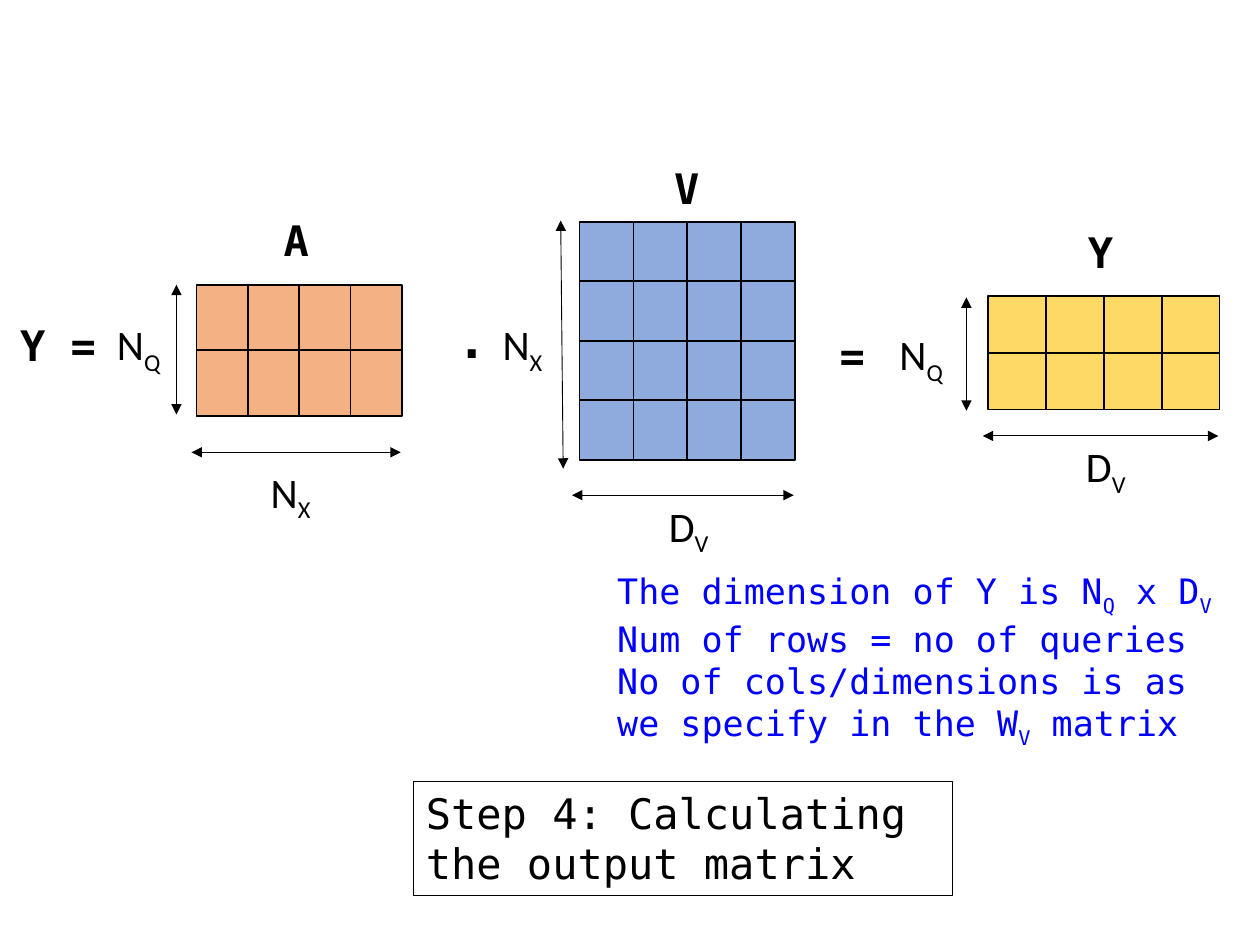
import pptx
import pptx.util
import pptx.dml.color
import pptx.enum.shapes
import pptx.enum.text
import pptx.oxml.ns
import lxml.etree

MONO, SANS = "DejaVu Sans Mono", "Calibri"
CENTER, LEFT = pptx.enum.text.PP_ALIGN.CENTER, pptx.enum.text.PP_ALIGN.LEFT
color = pptx.dml.color.RGBColor.from_string

deck = pptx.Presentation()
deck.slide_width, deck.slide_height = pptx.util.Inches(10), pptx.util.Inches(7.5)
slide = deck.slides.add_slide(deck.slide_layouts[5])
column, row = deck.slide_width / 100, deck.slide_height / 75


def grid(*places):
    return [round(place * (row if i % 2 else column)) for i, place in enumerate(places)]


def write(frame, lines, align, ink, **style):
    settings = {"word_wrap": True, "auto_size": pptx.enum.text.MSO_AUTO_SIZE.NONE,
                "vertical_anchor": pptx.enum.text.MSO_ANCHOR.TOP}
    for key, value in settings.items():
        setattr(frame, key, value)
    for number, line in enumerate(lines):
        paragraph = frame.add_paragraph() if number else frame.paragraphs[0]
        paragraph.alignment = align
        first, *rest = line.split("_")
        pieces = [(first, False)]
        for part in rest:
            pieces += [(part[0], True), (part[1:], False)]
        for words, lowered in pieces:
            if not words:
                continue
            run = paragraph.add_run()
            run.text = words
            for key, value in style.items():
                setattr(run.font, key, value)
            run.font.color.rgb = color(ink)
            if lowered:
                run.font._element.set("baseline", "-25000")


heading = slide.shapes.title
heading.left, heading.top, heading.width, heading.height = grid(32.8, 62, 42.8, 9.1)
heading.line.color.rgb = color("000000")
heading.line.width = pptx.util.Pt(0.75)
write(heading.text_frame, ["Step 4: Calculating the output matrix"], LEFT, "000000",
      name=MONO, size=pptx.util.Pt(24), bold=False)

matrices = [
    {"fill": "F4B183", "rows": 2, "area": (15.6, 22.6, 16.3, 10.4),
     "name": ("A", 16.4, 16.5, 14.2), "height": ("N_Q", 8.3, 24.8, 7.3),
     "width": ("N_X", 20.5, 36.5, 7.3),
     "arrows": [(14, 22.6, 14, 32.9), (15.2, 35.9, 31.8, 35.9)]},
    {"fill": "8FAADC", "rows": 4, "area": (46, 17.6, 17.1, 18.9),
     "name": ("V", 46.9, 12.4, 15.2), "height": ("N_X", 38.9, 24.8, 7.8),
     "width": ("D_V", 52.1, 39.2, 6.5),
     "arrows": [(44.5, 17.5, 44.7, 37.2), (45.4, 39.3, 63, 39.3)]},
    {"fill": "FFD966", "rows": 2, "area": (78.4, 23.5, 18.4, 9),
     "name": ("Y", 79.3, 17.5, 16.1), "height": ("N_Q", 70.4, 25.6, 8.3),
     "width": ("D_V", 85.2, 34.5, 6.9),
     "arrows": [(76.7, 23.6, 76.7, 32.6), (78, 34.6, 96.7, 34.6)]},
]

for matrix in matrices:
    group = slide.shapes.add_group_shape().shapes
    left, top, width, height = matrix["area"]
    cell_width, cell_height = width / 4, height / matrix["rows"]
    for index in range(4 * matrix["rows"]):
        down, across = divmod(index, 4)
        cell = group.add_shape(
            pptx.enum.shapes.MSO_SHAPE.RECTANGLE,
            *grid(left + across * cell_width, top + down * cell_height, cell_width, cell_height))
        cell.shadow.inherit = False
        cell.fill.solid()
        cell.fill.fore_color.rgb = color(matrix["fill"])
        cell.line.color.rgb = color("000000")
        cell.line.width = pptx.util.Pt(1)
    for ends in matrix["arrows"]:
        arrow = group.add_connector(pptx.enum.shapes.MSO_CONNECTOR.STRAIGHT, *grid(*ends))
        arrow.line.color.rgb = color("000000")
        arrow.line.width = pptx.util.Pt(0.5)
        outline = arrow.line._get_or_add_ln()
        for tip in ("a:headEnd", "a:tailEnd"):
            lxml.etree.SubElement(outline, pptx.oxml.ns.qn(tip), type="triangle")
        lxml.etree.SubElement(arrow._element.spPr, pptx.oxml.ns.qn("a:effectLst"))
    for part, align, face, bold in (("name", CENTER, MONO, True), ("height", LEFT, SANS, False),
                                    ("width", LEFT, SANS, False)):
        words, x, y, span = matrix[part]
        label = group.add_textbox(*grid(x, y, span, 5))
        write(label.text_frame, [words], align, "000000",
              name=face, size=pptx.util.Pt(24), bold=bold)

for sign, size, box in (("Y =", 24, (-2.5, 24.9, 14.2, 5)), (".", 28, (35.3, 24.1, 3.1, 5.7)),
                        ("=", 24, (61.5, 25.7, 12.3, 5))):
    operator = slide.shapes.add_textbox(*grid(*box))
    write(operator.text_frame, [sign], CENTER, "000000",
          name=MONO, size=pptx.util.Pt(size), bold=True)

explanation = slide.shapes.add_textbox(*grid(48, 44.7, 49.8, 14.5))
write(explanation.text_frame,
      ["The dimension of Y is N_Q x D_V", "Num of rows = no of queries",
       "No of cols/dimensions is as we specify in the W_V matrix"],
      LEFT, "0000FF", name=MONO, size=pptx.util.Pt(20))

deck.save("out.pptx")
